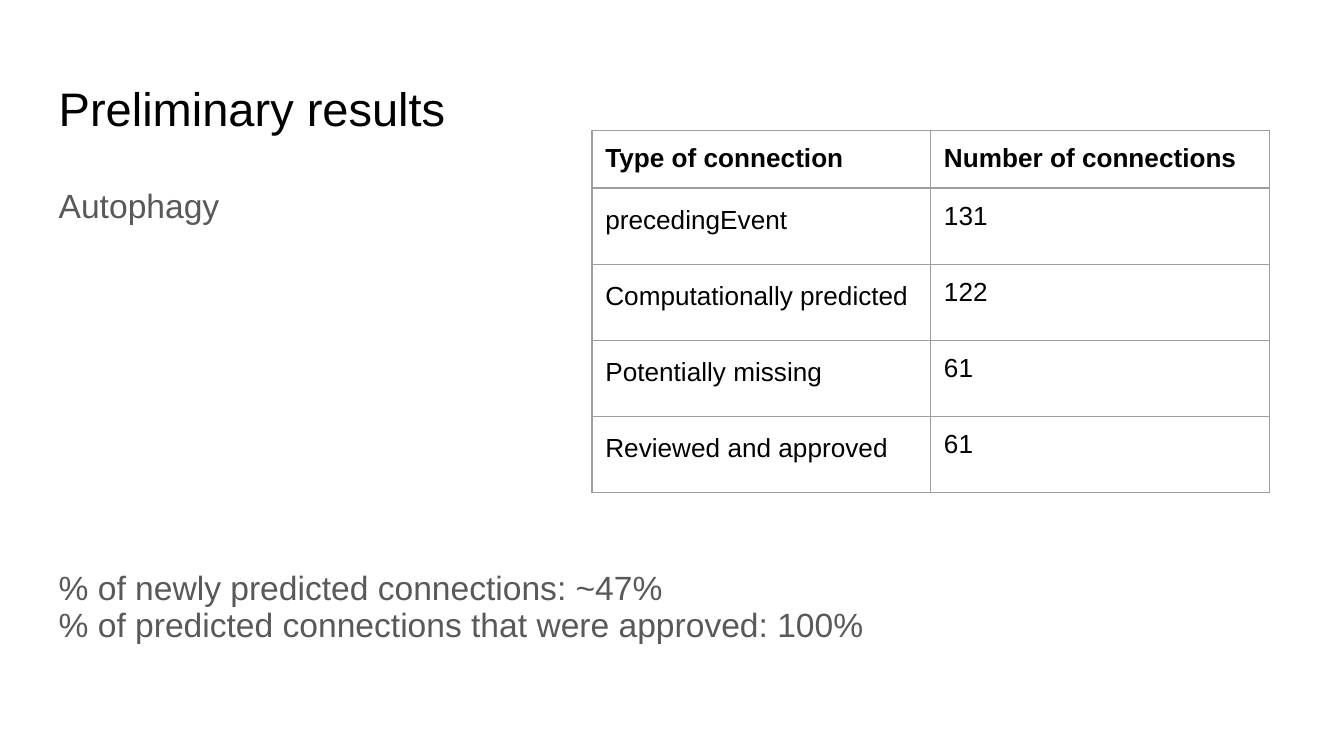
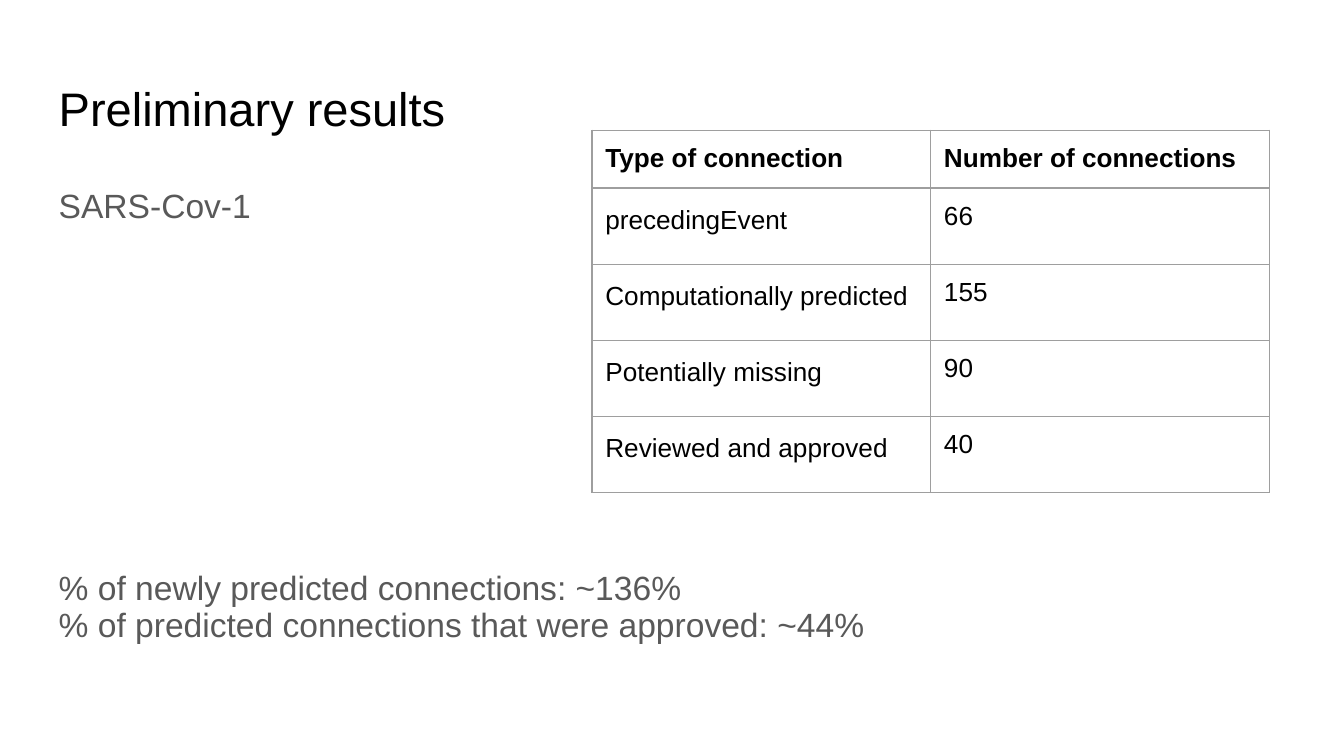
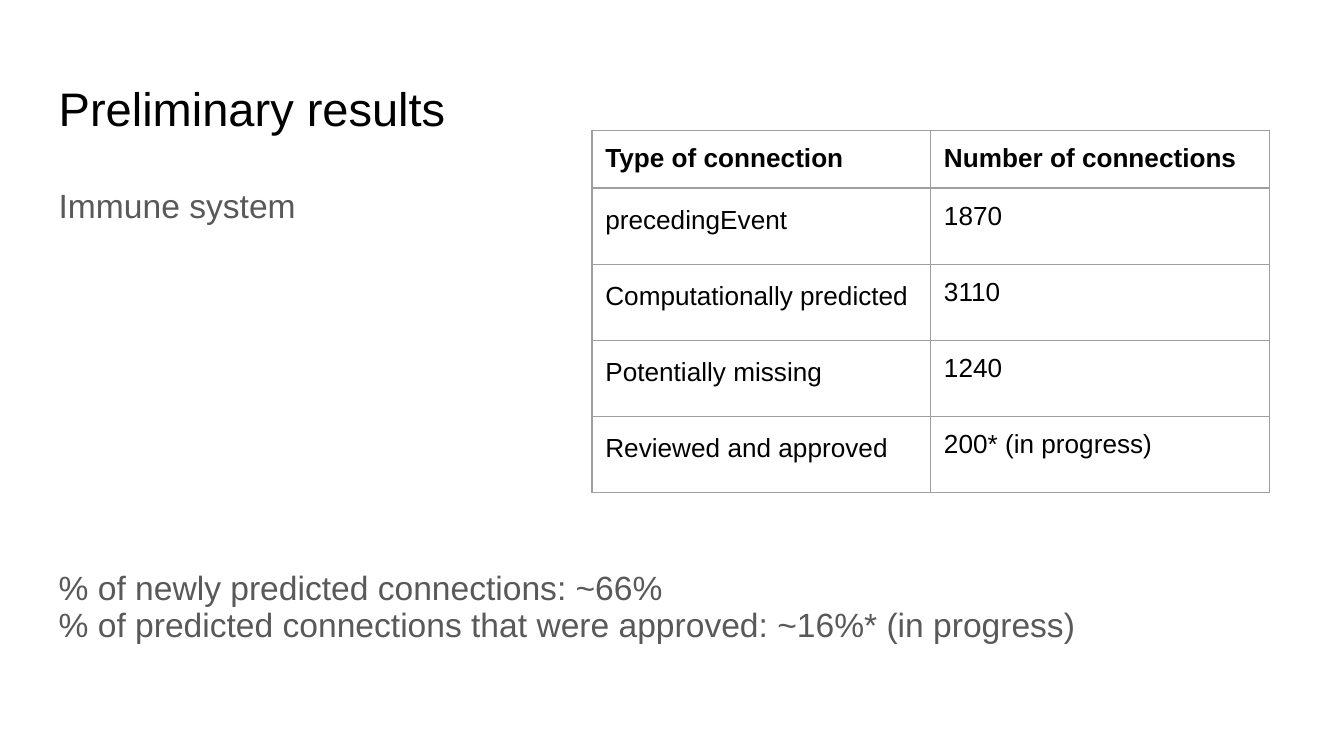
from pptx import Presentation
from pptx.dml.color import RGBColor
from pptx.enum.text import MSO_ANCHOR as Anchor
from pptx.oxml.xmlchemy import OxmlElement as Element
from pptx.util import Cm, Pt

COLORS = {"title": "000000", "body": "595959", "cell": "000000",
          "border": "9E9E9E", "page": "FFFFFF"}
FONT = "Arial"
INSET = Cm(0.25)

TITLE_BOX = (Cm(0.86), Cm(1.24), Cm(23.67), Cm(1.6))
BODY_BOX = (Cm(0.86), Cm(3.2), Cm(23.67), Cm(9.5))
TABLE_BOX = (Cm(11.19), Cm(2.46), Cm(12.8), Cm(6.82))
HEADER_HEIGHT = Cm(1.06)

HEADERS = ("Type of connection", "Number of connections")
CONNECTION_TYPES = ("precedingEvent", "Computationally predicted",
                    "Potentially missing", "Reviewed and approved")
RESULTS = (
    ("Autophagy", ("131", "122", "61", "61"), "~47%", "100%"),
    ("SARS-Cov-1", ("66", "155", "90", "40"), "~136%", "~44%"),
    ("Immune system", ("1870", "3110", "1240", "200* (in progress)"),
     "~66%", "~16%* (in progress)"),
)


def add_span(para, text, size, color, bold=False):
    span = para.add_run()
    span.text = text
    span.font.name = FONT
    span.font.size = Pt(size)
    span.font.bold = bold
    span.font.color.rgb = RGBColor.from_string(COLORS[color])


def set_insets(holder):
    holder.margin_left = holder.margin_right = INSET
    holder.margin_top = holder.margin_bottom = INSET


def add_text_frame(page, box, anchor):
    frame = page.shapes.add_textbox(*box).text_frame
    frame.word_wrap = True
    frame.vertical_anchor = anchor
    set_insets(frame)
    return frame


def add_title(page, box, text):
    frame = add_text_frame(page, box, Anchor.MIDDLE)
    add_span(frame.paragraphs[0], text, 25.2, "title")


def add_body(page, box, pathway, predicted, approved):
    frame = add_text_frame(page, box, Anchor.TOP)
    lines = (
        (pathway, 1.05, 0),
        (f"% of newly predicted connections: {predicted}", 0.93, 185),
        (f"% of predicted connections that were approved: {approved}", 0.93, 0),
    )
    for index, (text, spacing, before) in enumerate(lines):
        para = frame.add_paragraph() if index else frame.paragraphs[0]
        para.line_spacing = spacing
        para.space_before = Pt(before)
        add_span(para, text, 18, "body")


def set_borders(cell):
    properties = cell._tc.get_or_add_tcPr()
    for position, side in enumerate(("a:lnL", "a:lnR", "a:lnT", "a:lnB")):
        line = Element(side)
        line.set("w", str(Pt(0.75)))
        fill = Element("a:solidFill")
        color = Element("a:srgbClr")
        color.set("val", COLORS["border"])
        fill.append(color)
        line.append(fill)
        properties.insert(position, line)


def add_connection_table(page, box, counts):
    rows = (HEADERS, *zip(CONNECTION_TYPES, counts))
    left, top, width, height = box
    table = page.shapes.add_table(len(rows), len(HEADERS), *box).table
    table.first_row = table.horz_banding = False
    for column in table.columns:
        column.width = width // len(HEADERS)
    for row_index, values in enumerate(rows):
        is_header = row_index == 0
        table.rows[row_index].height = (
            HEADER_HEIGHT if is_header else (height - HEADER_HEIGHT) // len(counts))
        for column_index, value in enumerate(values):
            cell = table.cell(row_index, column_index)
            cell.fill.background()
            set_insets(cell)
            set_borders(cell)
            para = cell.text_frame.paragraphs[0]
            if column_index == 0 and not is_header:
                para.line_spacing = 1.15
                para.space_after = Pt(16)
            add_span(para, value, 14, "cell", is_header)


def add_results_page(deck, pathway, counts, predicted, approved):
    page = deck.slides.add_slide(deck.slide_layouts[6])
    page.background.fill.solid()
    page.background.fill.fore_color.rgb = RGBColor.from_string(COLORS["page"])
    add_title(page, TITLE_BOX, "Preliminary results")
    add_body(page, BODY_BOX, pathway, predicted, approved)
    add_connection_table(page, TABLE_BOX, counts)


def main():
    deck = Presentation()
    deck.slide_width = Cm(25.4)
    deck.slide_height = Cm(14.29)
    for result in RESULTS:
        add_results_page(deck, *result)
    deck.save("out.pptx")


if __name__ == "__main__":
    main()
